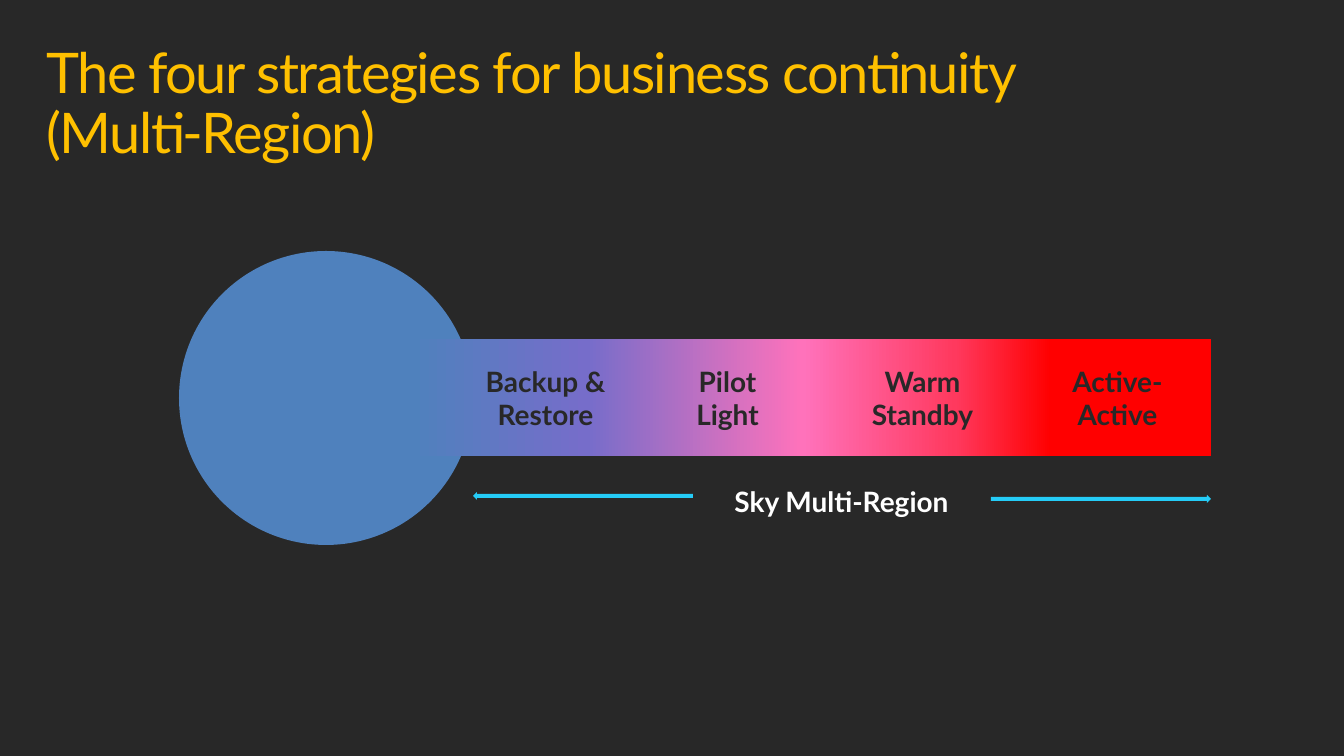
"""Build the slide on four business continuity strategies."""
from dataclasses import dataclass

from lxml.etree import SubElement
from pptx import Presentation
from pptx.dml.color import RGBColor
from pptx.enum.shapes import MSO_SHAPE as Preset
from pptx.enum.text import MSO_ANCHOR as Anchor, MSO_AUTO_SIZE as AutoSize, PP_ALIGN as Align
from pptx.oxml.ns import qn
from pptx.shapes.autoshape import Shape
from pptx.slide import Slide
from pptx.text.text import TextFrame
from pptx.util import Emu, Pt

EMU_PER_PX = 914400 // 84


@dataclass(frozen=True)
class Theme:
    font: str = "Lato"
    title_size: int = 48
    label_size: int = 24
    background: str = "282828"
    title: str = "FFC000"
    circle: str = "4F81BD"
    strategy: str = "282828"
    region: str = "FFFFFF"
    arrow: str = "25CCF7"
    spectrum: tuple[tuple[int, str], ...] = (
        (0, "4F81BD"), (22, "766DCA"), (49, "FF72BB"), (68, "FF395E"), (80, "FF0000"))


@dataclass(frozen=True)
class Box:
    left: int
    top: int
    width: int
    height: int

    def emu(self) -> tuple[Emu, Emu, Emu, Emu]:
        return px(self.left), px(self.top), px(self.width), px(self.height)


@dataclass(frozen=True)
class Label:
    text: str
    box: Box
    color: str


@dataclass(frozen=True)
class Figure:
    preset: Preset
    box: Box
    color: str


THEME = Theme()
BAR = Box(411, 339, 800, 117)
FIGURES = (
    Figure(Preset.OVAL, Box(179, 251, 294, 294), THEME.circle),
    Figure(Preset.RECTANGLE, BAR, THEME.circle),
    Figure(Preset.LEFT_ARROW, Box(473, 492, 220, 8), THEME.arrow),
    Figure(Preset.RIGHT_ARROW, Box(991, 495, 220, 8), THEME.arrow),
)
STRATEGIES = (
    ("Backup & Restore", 463), ("Pilot\nLight", 645), ("Warm Standby", 840), ("Active-Active", 1035))
LABELS = tuple(
    Label(text, Box(left, 360, 165, 76), THEME.strategy) for text, left in STRATEGIES
) + (Label("Sky Multi-Region", Box(712, 480, 259, 42), THEME.region),)


def px(length: int) -> Emu:
    return Emu(length * EMU_PER_PX)


def format_text(frame: TextFrame, size: int, color: str, bold: bool, align: Align) -> None:
    for paragraph in frame.paragraphs:
        paragraph.alignment = align
        for run in paragraph.runs:
            run.font.name = THEME.font
            run.font.size = Pt(size)
            run.font.bold = bold
            run.font.color.rgb = RGBColor.from_string(color)


def fill_spectrum(shape: Shape) -> None:
    shape.fill.gradient()
    shape.fill.gradient_angle = 0
    stops = shape.element.spPr.find(qn("a:gradFill")).find(qn("a:gsLst"))
    for stop in list(stops):
        stops.remove(stop)
    for percent, color in THEME.spectrum:
        stop = SubElement(stops, qn("a:gs"), pos=str(percent * 1000))
        SubElement(stop, qn("a:srgbClr"), val=color)


def add_figure(slide: Slide, figure: Figure) -> Shape:
    shape = slide.shapes.add_shape(figure.preset, *figure.box.emu())
    shape.shadow.inherit = False
    shape.fill.solid()
    shape.fill.fore_color.rgb = RGBColor.from_string(figure.color)
    shape.line.fill.background()
    return shape


def add_label(slide: Slide, label: Label) -> None:
    frame = slide.shapes.add_textbox(*label.box.emu()).text_frame
    frame.word_wrap = True
    frame.auto_size = AutoSize.SHAPE_TO_FIT_TEXT
    frame.text = label.text
    format_text(frame, THEME.label_size, label.color, True, Align.CENTER)


def set_title(slide: Slide, text: str, box: Box) -> None:
    title = slide.shapes.title
    title.left, title.top, title.width, title.height = box.emu()
    frame = title.text_frame
    frame.text = text
    frame.word_wrap = True
    frame.auto_size = AutoSize.NONE
    frame.vertical_anchor = Anchor.TOP
    frame.margin_left = frame.margin_right = px(17)
    frame.margin_top = frame.margin_bottom = px(13)
    format_text(frame, THEME.title_size, THEME.title, False, Align.LEFT)
    paragraph = frame.paragraphs[0]
    paragraph.line_spacing = 0.9
    for run in paragraph.runs:
        run.font._element.set("spc", "-120")


def main() -> None:
    presentation = Presentation()
    presentation.slide_width, presentation.slide_height = px(1344), px(756)
    slide = presentation.slides.add_slide(presentation.slide_layouts[5])
    slide.background.fill.solid()
    slide.background.fill.fore_color.rgb = RGBColor.from_string(THEME.background)
    set_title(slide, "The four strategies for business continuity\v(Multi-Region)", Box(29, 32, 1284, 99))
    for figure in FIGURES:
        shape = add_figure(slide, figure)
        if figure.box == BAR:
            fill_spectrum(shape)
    for label in LABELS:
        add_label(slide, label)
    presentation.save("out.pptx")


if __name__ == "__main__":
    main()
